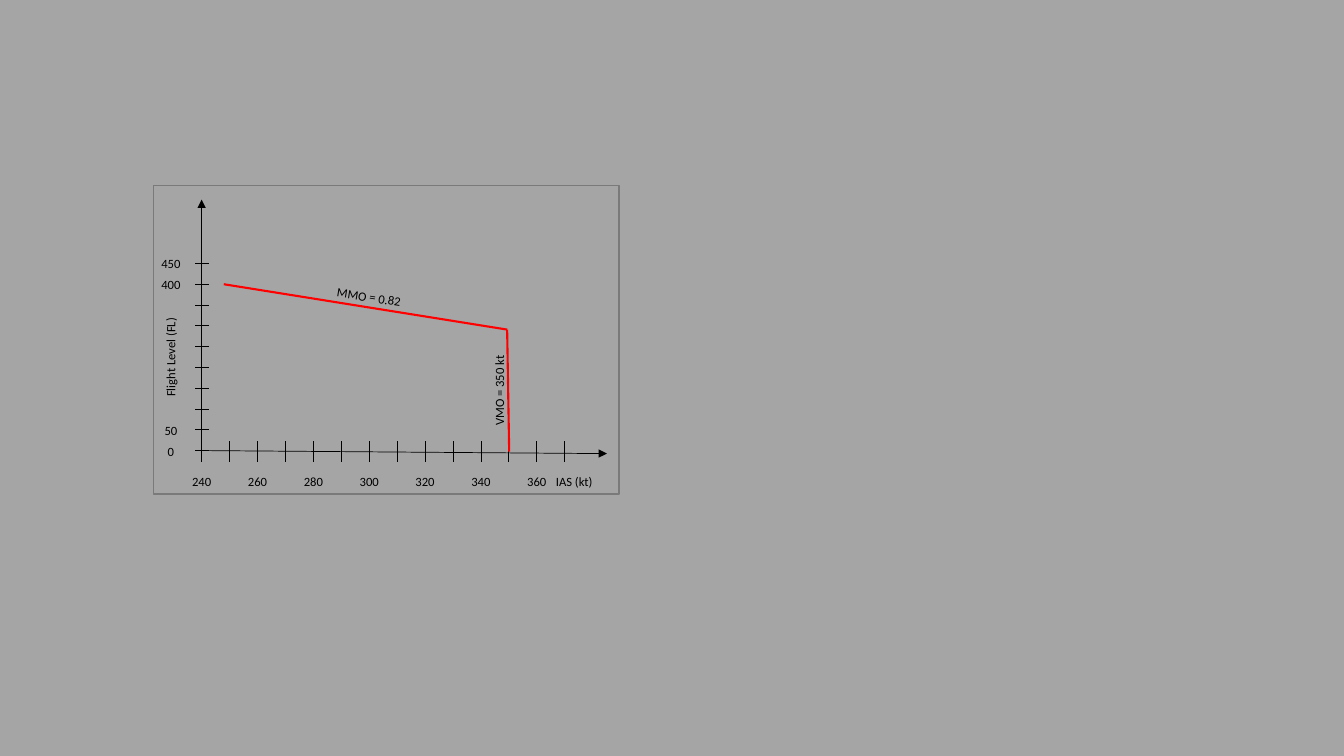
"""Draw the maximum operating speed envelope: flight level against indicated airspeed."""
import pptx
import pptx.util
import pptx.dml.color
import pptx.enum.shapes
import pptx.enum.text
import pptx.oxml.ns
import lxml.etree

Inches = pptx.util.Inches
GREY, BORDER, BLACK, RED = "A5A5A5", "7A7A7A", "000000", "FF0000"


def color(hex_code):
    return pptx.dml.color.RGBColor.from_string(hex_code)


deck = pptx.Presentation()
deck.slide_width, deck.slide_height = Inches(13.33), Inches(7.5)
slide = deck.slides.add_slide(deck.slide_layouts[6])
slide.background.fill.solid()
slide.background.fill.fore_color.rgb = color(GREY)

panel = slide.shapes.add_shape(
    pptx.enum.shapes.MSO_SHAPE.RECTANGLE, Inches(1.52), Inches(1.84), Inches(4.62), Inches(3.06))
panel.shadow.inherit = False
panel.fill.solid()
panel.fill.fore_color.rgb = color(GREY)
panel.line.color.rgb = color(BORDER)
panel.line.width = pptx.util.Pt(1)

origin_x, origin_y = 2, 4.47
inches_per_knot, inches_per_level = 0.0277, 0.00413
speed_x = {kt: origin_x + (kt - 240) * inches_per_knot for kt in range(240, 371, 10)}
level_y = {fl: origin_y - fl * inches_per_level for fl in range(0, 451, 50)}

axes = [
    (1.97, 4.47, 6.02, 4.5, BLACK, 0.5, True),
    (2, 4.58, 2, 1.98, BLACK, 0.5, True),
]
speed_ticks = [(x, 4.38, x, 4.58, BLACK, 0.5, False) for kt, x in speed_x.items() if kt > 240]
level_ticks = [(2.07, y, 1.93, y, BLACK, 0.5, False) for y in level_y.values()]
limits = [
    (2.22, 2.82, 5.03, 3.27, RED, 1.5, False),
    (5.03, 3.27, 5.05, 4.48, RED, 1.5, False),
]
for x1, y1, x2, y2, stroke, weight, arrow in axes + speed_ticks + limits + level_ticks:
    segment = slide.shapes.add_connector(
        pptx.enum.shapes.MSO_CONNECTOR.STRAIGHT, Inches(x1), Inches(y1), Inches(x2), Inches(y2))
    segment.line.color.rgb = color(stroke)
    segment.line.width = pptx.util.Pt(weight)
    if arrow:
        lxml.etree.SubElement(
            segment.line._get_or_add_ln(), pptx.oxml.ns.qn("a:tailEnd"), type="triangle")
    lxml.etree.SubElement(segment._element.spPr, pptx.oxml.ns.qn("a:effectLst"))

speed_labels = [(str(kt), speed_x[kt] - 0.22, 4.65, 0.44, 0) for kt in range(240, 361, 20)]
level_labels = [(str(fl), 1.42, level_y[fl] - 0.12, 0.55, 0) for fl in (0, 50, 400, 450)]
titles = [
    ("Flight Level (FL)", 1.02, 3.42, 1.34, 270),
    ("IAS (kt)", 5.37, 4.65, 0.65, 0),
    ("MMO = 0.82", 2.99, 2.82, 1.34, 8.9),
    ("VMO = 350 kt", 4.28, 3.75, 1.34, 270),
]
label_format = {"name": "Calibri", "size": pptx.util.Pt(9)}
for wording, left, top, width, angle in speed_labels + level_labels + titles:
    label = slide.shapes.add_textbox(Inches(left), Inches(top), Inches(width), Inches(0.25))
    label.rotation = angle
    label.text_frame.word_wrap = True
    label.text_frame.auto_size = pptx.enum.text.MSO_AUTO_SIZE.SHAPE_TO_FIT_TEXT
    line = label.text_frame.paragraphs[0]
    line.alignment = pptx.enum.text.PP_ALIGN.CENTER
    run = line.add_run()
    run.text = wording
    for attribute, setting in label_format.items():
        setattr(run.font, attribute, setting)
    run.font.color.rgb = color(BLACK)

deck.save("out.pptx")
